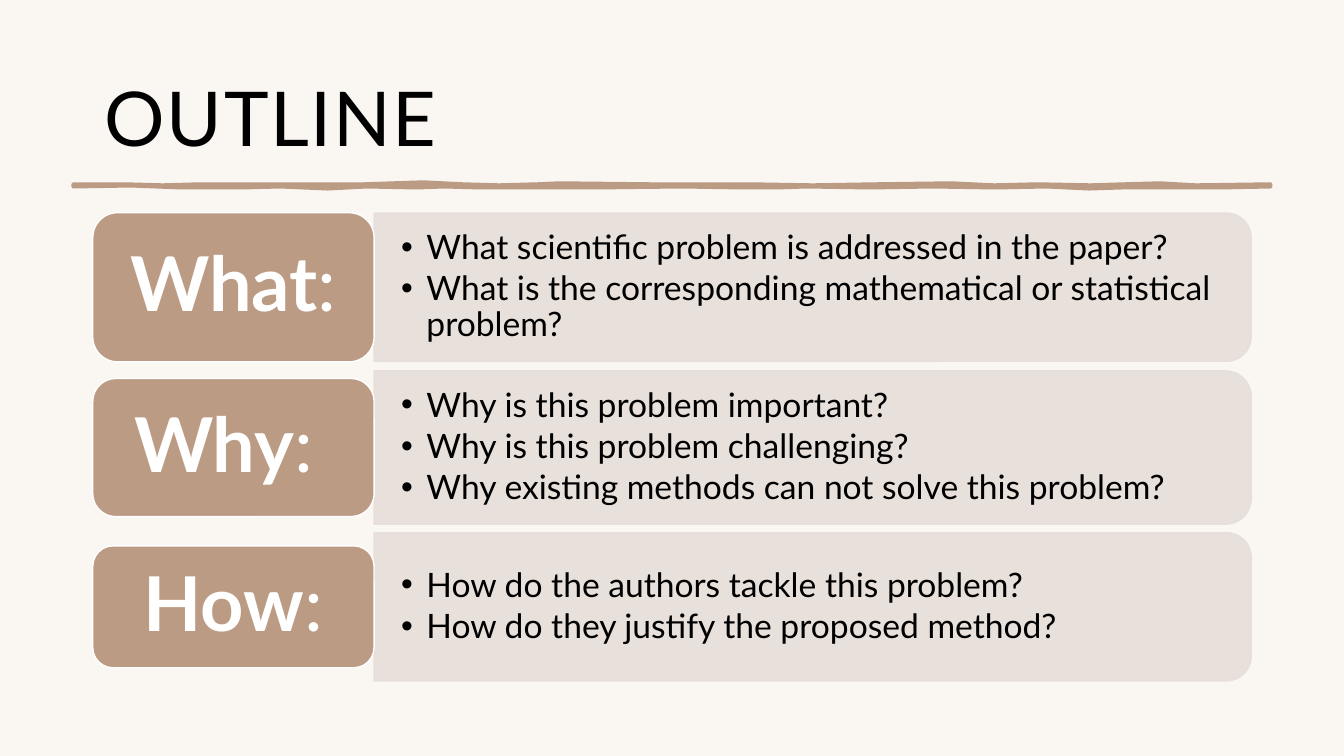
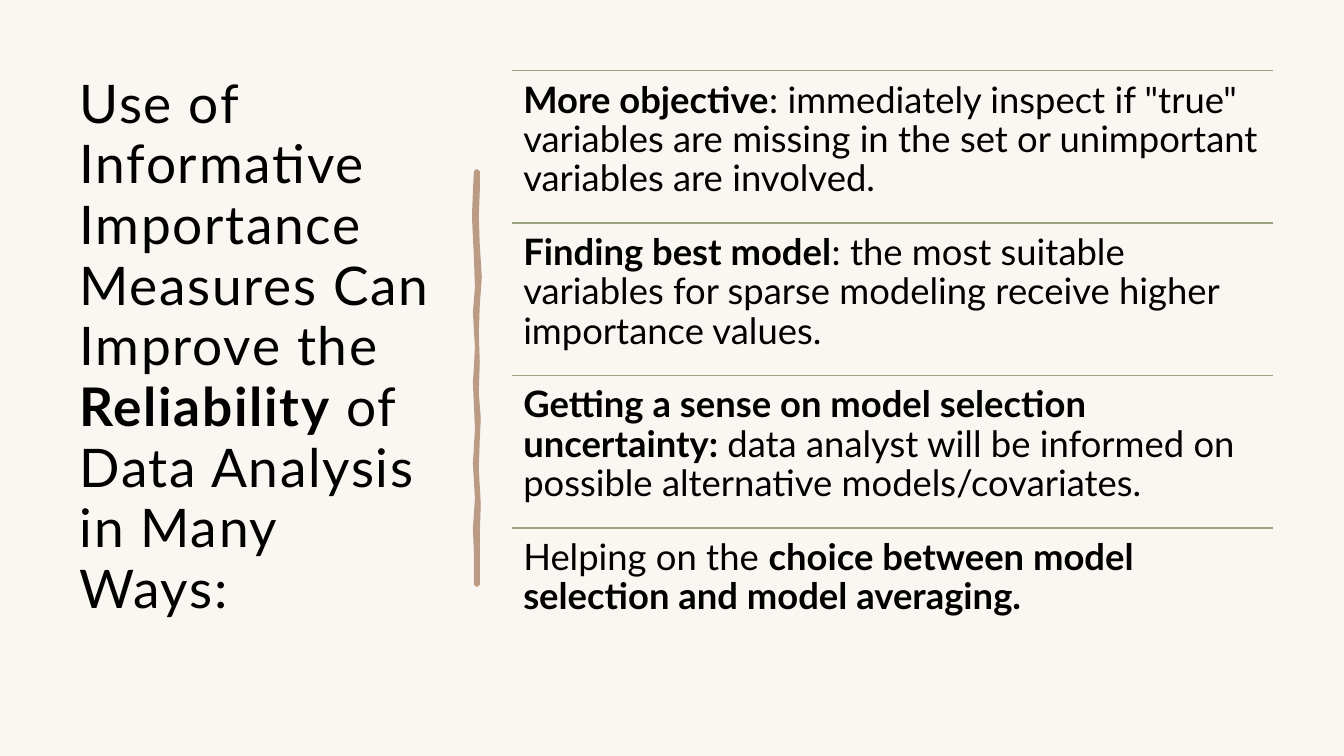
"""Build an outline slide and a slide on importance measures."""
from dataclasses import dataclass
from typing import Any

from lxml import etree
from pptx import Presentation
from pptx.dml import color
from pptx.enum import shapes, text
from pptx.oxml import ns
from pptx.util import Inches, Pt

CREAM = color.RGBColor(0xFA, 0xF6, 0xF1)
TAN = color.RGBColor(0xBC, 0x9B, 0x84)
BEIGE = color.RGBColor(0xE7, 0xDE, 0xD9)
SAGE = color.RGBColor(0x9B, 0xA5, 0x7D)
BLACK = color.RGBColor(0, 0, 0)
WHITE = color.RGBColor(0xFF, 0xFF, 0xFF)

FONT = "Lato"
TITLE_ONLY = 5
SIDES = ("margin_left", "margin_top", "margin_right", "margin_bottom")

LABEL_LEFT, LABEL_WIDTH = 0.92, 2.79
CARD_LEFT, CARD_WIDTH = 3.71, 8.7
CARD_TEXT_WIDTH = 8.63
LIST_LEFT, LIST_TOP, LIST_WIDTH, LIST_HEIGHT = 5.08, 0.7, 7.55, 6.05

Point = tuple[int, int]


@dataclass(frozen=True)
class Span:
    """A stretch of text in one weight."""
    words: str
    bold: bool = False


@dataclass(frozen=True)
class Question:
    """A label with its card of bulleted questions."""
    label: tuple[Span, ...]
    bullets: tuple[str, ...]
    middle: float
    label_height: float
    card_height: float


QUESTIONS = (
    Question(
        (Span("What", True), Span(":")),
        ("What scientific problem is addressed in the paper?",
         "What is the corresponding mathematical or statistical problem?"),
        2.85, 1.48, 1.47),
    Question(
        (Span("Why", True), Span(": ")),
        ("Why is this problem important?",
         "Why is this problem challenging?",
         "Why existing methods can not solve this problem?"),
        4.44, 1.37, 1.52),
    Question(
        (Span("How", True), Span(":")),
        ("How do the authors tackle this problem?",
         "How do they justify the proposed method?"),
        6.02, 1.21, 1.47),
)

REASONS = (
    (Span("More objective", True),
     Span(': immediately inspect if "true" variables are missing in the set '
          "or unimportant variables are involved.")),
    (Span("Finding best model", True),
     Span(": the most suitable variables for sparse modeling receive higher "
          "importance values.")),
    (Span("Getting a sense on model selection uncertainty: ", True),
     Span("data analyst will be informed on possible alternative "
          "models/covariates.")),
    (Span("Helping on the "),
     Span("choice between model selection and model averaging.", True)),
)

OUTLINE_TITLE = (Span("OUTLINE"),)
REASONS_TITLE = (
    Span("Use of Informative Importance Measures Can Improve the "),
    Span("Reliability", True),
    Span(" of Data Analysis in Many Ways:"),
)

HORIZONTAL_STROKE: tuple[Point, ...] = (
    (73, 183), (124, 183), (161, 184), (198, 183), (284, 183), (361, 183),
    (420, 181), (459, 183), (495, 184), (533, 183), (555, 182), (646, 183),
    (744, 183), (806, 184), (868, 183), (943, 182), (986, 184), (1029, 183),
    (1082, 184), (1115, 183), (1150, 182), (1186, 184), (1260, 183),
    (1260, 185), (1210, 186), (1112, 186), (1080, 187), (1038, 185),
    (987, 186), (925, 185), (863, 186), (800, 185), (770, 186), (738, 186),
    (676, 185), (590, 186), (550, 186), (515, 186), (477, 186), (440, 185),
    (414, 186), (364, 185), (325, 187), (278, 185), (240, 186), (180, 186),
    (130, 184), (73, 185),
)
VERTICAL_STROKE: tuple[Point, ...] = (
    (472, 170), (474, 170), (474, 190), (473, 215), (474, 243), (476, 275),
    (474, 303), (473, 330), (474, 359), (473, 390), (475, 415), (474, 436),
    (473, 465), (475, 500), (474, 530), (474, 580), (472, 580), (472, 550),
    (471, 524), (473, 495), (471, 460), (473, 425), (471, 380), (473, 345),
    (471, 310), (473, 285), (472, 255), (470, 215), (471, 190),
)


def set_values(target: Any, values: dict[str, Any]) -> None:
    """Set each named attribute of the target."""
    for name, value in values.items():
        setattr(target, name, value)


def prepare_frame(frame: Any, margins: tuple[float, ...], anchor: Any) -> None:
    """Give a text frame its wrapping, margins and anchor."""
    set_values(frame, {
        "word_wrap": True,
        "auto_size": text.MSO_AUTO_SIZE.NONE,
        "vertical_anchor": anchor,
        **dict(zip(SIDES, map(Inches, margins))),
    })


def write_paragraph(paragraph: Any, spans: tuple[Span, ...], size: float,
                    ink: color.RGBColor = BLACK, tracking: int = 0,
                    **layout: Any) -> None:
    """Write spans in the shared font with the given paragraph layout."""
    set_values(paragraph, {"alignment": text.PP_ALIGN.LEFT,
                           "space_before": Pt(0), "line_spacing": 0.9, **layout})
    for span in spans:
        run = paragraph.add_run()
        run.text = span.words
        set_values(run.font, {"name": FONT, "size": Pt(size), "bold": span.bold})
        run.font.color.rgb = ink
        if tracking:
            run.font._element.set("spc", str(tracking))


def add_bullet(paragraph: Any) -> None:
    """Give a paragraph a hanging round bullet."""
    properties = paragraph._p.get_or_add_pPr()
    properties.set("marL", str(Inches(0.25)))
    properties.set("indent", str(-Inches(0.25)))
    etree.SubElement(properties, ns.qn("a:buFont")).set("typeface", "Arial")
    etree.SubElement(properties, ns.qn("a:buChar")).set("char", "•")


def paint(shape: Any, fill: color.RGBColor, line: color.RGBColor,
          width: float = 1, opacity: int = 100) -> None:
    """Fill and outline a shape without a shadow."""
    shape.shadow.inherit = False
    shape.fill.solid()
    shape.fill.fore_color.rgb = fill
    shape.line.color.rgb = line
    shape.line.width = Pt(width)
    if opacity < 100:
        for value in shape._element.spPr.iter(ns.qn("a:srgbClr")):
            etree.SubElement(value, ns.qn("a:alpha")).set("val", str(opacity * 1000))


def add_titled_slide(presentation: Any, spans: tuple[Span, ...],
                     box: tuple[float, ...], size: float, spacing: float,
                     margins: tuple[float, ...]) -> Any:
    """Add a slide with a placed and formatted title."""
    slide = presentation.slides.add_slide(presentation.slide_layouts[TITLE_ONLY])
    title = slide.shapes.title
    set_values(title, dict(zip(("left", "top", "width", "height"), map(Inches, box))))
    prepare_frame(title.text_frame, margins, text.MSO_ANCHOR.MIDDLE)
    write_paragraph(title.text_frame.paragraphs[0], spans, size,
                    tracking=120, line_spacing=spacing)
    return slide


def add_stroke(slide: Any, points: tuple[Point, ...], width: float) -> None:
    """Draw a brush stroke through points in hundredths of an inch."""
    builder = slide.shapes.build_freeform(*points[0], scale=Inches(0.01))
    builder.add_line_segments(points[1:], close=True)
    paint(builder.convert_to_shape(), TAN, TAN, width)


def add_question(slide: Any, question: Question) -> None:
    """Draw one label and its card of questions."""
    height = question.card_height
    center = CARD_LEFT + CARD_WIDTH / 2
    card = slide.shapes.add_shape(
        shapes.MSO_SHAPE.ROUND_2_SAME_RECTANGLE,
        Inches(center - height / 2), Inches(question.middle - CARD_WIDTH / 2),
        Inches(height), Inches(CARD_WIDTH))
    card.rotation = 90
    paint(card, BEIGE, BEIGE, opacity=90)

    frame = slide.shapes.add_textbox(
        Inches(CARD_LEFT), Inches(question.middle - height / 2),
        Inches(CARD_TEXT_WIDTH), Inches(height)).text_frame
    prepare_frame(frame, (0.27, 0.14, 0.27, 0.14), text.MSO_ANCHOR.MIDDLE)
    for index, bullet in enumerate(question.bullets):
        paragraph = frame.add_paragraph() if index else frame.paragraphs[0]
        add_bullet(paragraph)
        write_paragraph(paragraph, (Span(bullet),), 24, space_after=Pt(3.6))

    label = slide.shapes.add_shape(
        shapes.MSO_SHAPE.ROUNDED_RECTANGLE,
        Inches(LABEL_LEFT), Inches(question.middle - question.label_height / 2),
        Inches(LABEL_WIDTH), Inches(question.label_height))
    paint(label, TAN, WHITE)
    prepare_frame(label.text_frame, (0.23, 0.11, 0.23, 0.11), text.MSO_ANCHOR.MIDDLE)
    write_paragraph(label.text_frame.paragraphs[0], question.label, 54, WHITE,
                    alignment=text.PP_ALIGN.CENTER, space_after=Pt(18.9))


def add_reason(slide: Any, spans: tuple[Span, ...], top: float, height: float) -> None:
    """Draw one reason under its dividing line."""
    divider = slide.shapes.add_connector(
        shapes.MSO_CONNECTOR.STRAIGHT, Inches(LIST_LEFT), Inches(top),
        Inches(LIST_LEFT + LIST_WIDTH), Inches(top))
    divider.line.color.rgb = SAGE
    divider.line.width = Pt(1)
    etree.SubElement(divider._element.spPr, ns.qn("a:effectLst"))
    frame = slide.shapes.add_textbox(
        Inches(LIST_LEFT), Inches(top), Inches(LIST_WIDTH), Inches(height)).text_frame
    prepare_frame(frame, (0.11,) * 4, text.MSO_ANCHOR.TOP)
    write_paragraph(frame.paragraphs[0], spans, 26, space_after=Pt(9.1))


def build_outline(presentation: Any) -> None:
    """Build the outline slide."""
    slide = add_titled_slide(presentation, OUTLINE_TITLE, (0.92, 0.4, 11.5, 1.45),
                             54, 1.05, (0.12, 0.12, 0.12, 0.1))
    add_stroke(slide, HORIZONTAL_STROKE, 3)
    for question in QUESTIONS:
        add_question(slide, question)


def build_reasons(presentation: Any) -> None:
    """Build the slide of reasons."""
    slide = add_titled_slide(presentation, REASONS_TITLE, (0.69, 0.7, 3.74, 5.5),
                             38, 0.95, (0.1, 0.05, 0.1, 0.05))
    add_stroke(slide, VERTICAL_STROKE, 2.75)
    height = LIST_HEIGHT / len(REASONS)
    for index, spans in enumerate(REASONS):
        add_reason(slide, spans, LIST_TOP + index * height, height)


def main() -> None:
    """Build and save the presentation."""
    presentation = Presentation()
    presentation.slide_width = Inches(13.33)
    presentation.slide_height = Inches(7.5)
    background = presentation.slide_master.background.fill
    background.solid()
    background.fore_color.rgb = CREAM
    build_outline(presentation)
    build_reasons(presentation)
    presentation.save("out.pptx")


if __name__ == "__main__":
    main()
